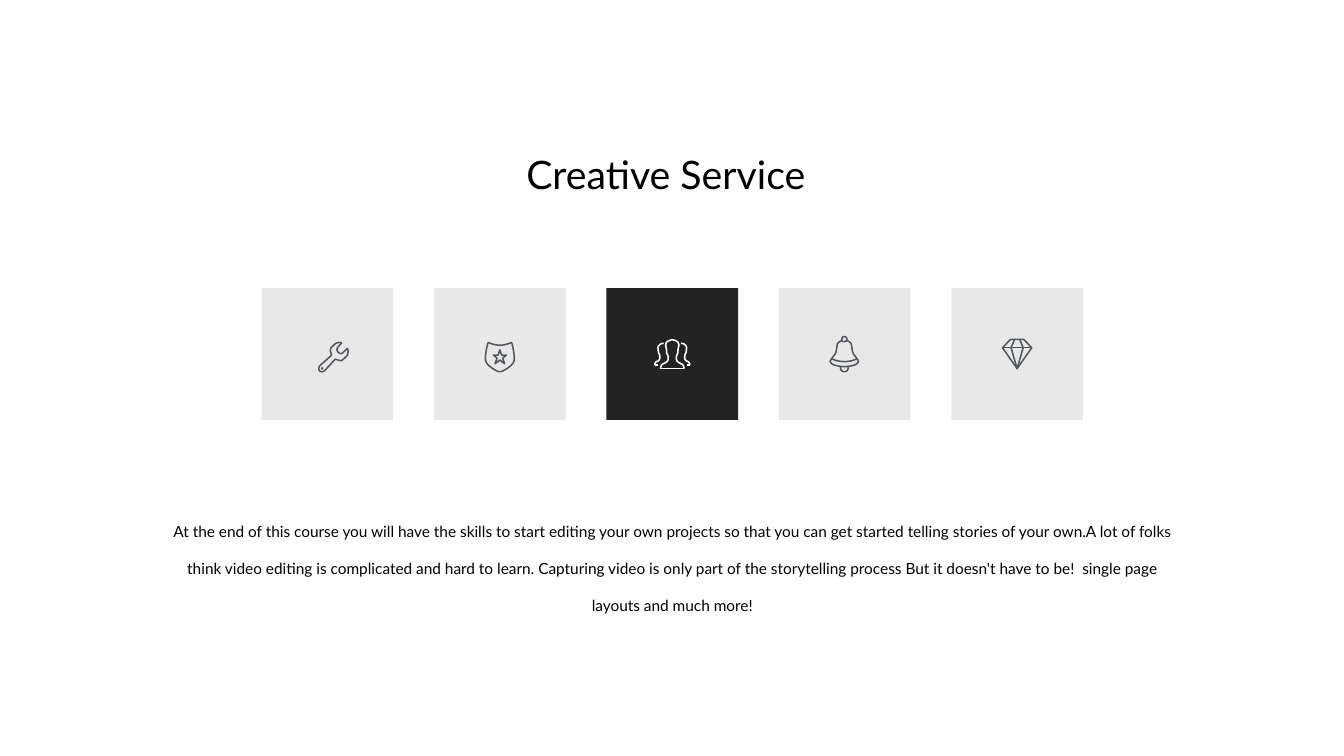
import pptx
import pptx.util
import pptx.dml.color
import pptx.enum.text
from pptx.util import Pt

# ---- Content ----
TITLE = "Creative Service"
SUMMARY = (
    "At the end of this course you will have the skills to start editing your own "
    "projects so that you can get started telling stories of your own.A lot of folks "
    "think video editing is complicated and hard to learn. Capturing video is only part "
    "of the storytelling process But it doesn't have to be!  single page layouts and "
    "much more!"
)
FONT = "Lato"
COLORS = {
    "text": "000000",
    "tile": "E8E8E8",
    "active tile": "232323",
    "icon": "53585F",
    "active icon": "FFFFFF",
}

# Icon strokes: (kind, points), in icon units from the icon's origin.
# Mirrored icons give only their left half, with the axis at x = 0.
WRENCH = [
    ("curve", [(47, 2), (41, 1.5), (34, 4), (26, 12), (24.5, 18), (27, 26.5)]),
    ("line", [(27, 26.5), (3, 48)]),
    ("curve", [(3, 48), (1.5, 53), (3, 58), (8, 59.5), (13, 57.5)]),
    ("line", [(13, 57.5), (34, 34.5)]),
    ("curve", [(34, 34.5), (45, 37.5), (49, 35.5), (57, 28), (59.5, 20), (58.5, 13)]),
    ("line", [(58.5, 13), (51, 20)]),
    ("curve", [(51, 20), (46, 23.5), (40, 21), (37.5, 15), (40.5, 9)]),
    ("line", [(40.5, 9), (47, 2)]),
    ("curve", [(8, 52), (9, 53), (8, 54), (7, 53), (8, 52)]),
]
SHIELD = [
    ("curve", [(-23.5, 1.5), (-27, 17), (-28.5, 35), (-24, 45), (-12, 54.5), (0, 59.5)]),
    ("curve", [(-23.5, 1.5), (-13, 5), (0, 7)]),
    ("line", [(0, 16), (-3.5, 26.5), (-13, 26.5), (-5.5, 32.5), (-9.5, 43.5), (0, 36.5)]),
]
PEOPLE = [
    ("curve", [(-23.5, 58.5), (-21, 51), (-13, 46.5), (-8.5, 41.5), (-8.5, 33), (-11, 27.5),
               (-11.5, 20), (-13, 12), (-11, 6), (-5, 2.5), (0, 1.5)]),
    ("line", [(-23.5, 58.5), (0, 58.5)]),
    ("curve", [(-17, 8.5), (-23, 9.5), (-28, 15), (-28, 21), (-27, 27), (-25, 32),
               (-25, 39), (-28, 43), (-33, 46), (-35, 51.5)]),
    ("line", [(-35, 51.5), (-28.5, 51.5)]),
]
BELL = [
    ("curve", [(-5, 9.5), (-13, 15), (-15, 24), (-17, 34), (-22, 41.5), (-26, 47),
               (-28, 52), (-22, 57.5), (-11, 60.5), (0, 61.5)]),
    ("curve", [(-25, 46), (-14, 50), (0, 51.5)]),
    ("curve", [(0, 1.8), (-3.7, 3.3), (-5, 7), (-3.7, 10.5), (0, 12)]),
    ("curve", [(-8, 62), (-6, 69), (0, 71.5)]),
]
GEM = [
    ("line", [(0, 59.5), (-29, 18), (-13, 1.5), (0, 1.5)]),
    ("line", [(-29, 18), (0, 18)]),
    ("line", [(-5, 1.5), (-12, 18), (0, 59.5)]),
]

# strokes, mirrored, origin inside the tile (points), active
SERVICES = [
    (WRENCH, False, (80.6, 76.4), False),
    (SHIELD, True, (94, 76.4), False),
    (PEOPLE, True, (94, 72.7), True),
    (BELL, True, (93.5, 67.7), False),
    (GEM, True, (94, 72), False),
]

# ---- Layout in points ----
SLIDE_W, SLIDE_H = 1919.52, 1080
TILE, TILE_PITCH, TILE_LEFT, TILE_TOP = 188, 246.24, 373.7, 411.8
ICON_UNIT, ICON_LINE, CURVE_STEPS = 0.72, 2.2, 6
INSET = 4.32


def rgb(name):
    return pptx.dml.color.RGBColor.from_string(COLORS[name])


def smooth(points):
    """Run a Catmull-Rom curve through the points."""
    closed = points[0] == points[-1]
    before = points[-2] if closed else points[0]
    after = points[1] if closed else points[-1]
    padded = [before, *points, after]
    result = [points[0]]
    for quad in zip(padded, padded[1:], padded[2:], padded[3:]):
        for step in range(1, CURVE_STEPS + 1):
            t = step / CURVE_STEPS
            result.append(tuple(
                b + t * (c - a) / 2 + t * t * (2 * a - 5 * b + 4 * c - d) / 2
                + t ** 3 * (3 * b - a - 3 * c + d) / 2
                for a, b, c, d in zip(*quad)))
    return result


def mirror(points):
    """Join the half with its reflection, or give both when they do not meet."""
    reflected = [(-x, y) for x, y in points]
    if points[-1][0] == 0:
        return [points + reflected[-2::-1]]
    return [points, reflected]


def add_icon(slide, strokes, mirrored, left, top, color):
    outlines = []
    for kind, points in strokes:
        for outline in (mirror(points) if mirrored else [points]):
            outline = smooth(outline) if kind == "curve" else outline
            outlines.append([(Pt(left + x * ICON_UNIT), Pt(top + y * ICON_UNIT))
                             for x, y in outline])
    builder = slide.shapes.build_freeform(*outlines[0][0], scale=1.0)
    for outline in outlines:
        builder.move_to(*outline[0])
        builder.add_line_segments(outline[1:], close=False)
    icon = builder.convert_to_shape()
    icon.shadow.inherit = False
    icon.fill.background()
    icon.line.color.rgb = rgb(color)
    icon.line.width = Pt(ICON_LINE)


def add_text(slide, text, box, size, align, wrap, spacing=None):
    frame = slide.shapes.add_textbox(*map(Pt, box)).text_frame
    frame.word_wrap = wrap
    frame.auto_size = pptx.enum.text.MSO_AUTO_SIZE.SHAPE_TO_FIT_TEXT
    frame.vertical_anchor = pptx.enum.text.MSO_ANCHOR.MIDDLE
    frame.margin_left = frame.margin_right = Pt(INSET)
    frame.margin_top = frame.margin_bottom = Pt(INSET)
    paragraph = frame.paragraphs[0]
    paragraph.alignment = align
    paragraph.line_spacing = spacing
    run = paragraph.add_run()
    run.text = text
    run.font.name = FONT
    run.font.size = Pt(size)
    run.font.color.rgb = rgb("text")


def main():
    deck = pptx.Presentation()
    deck.slide_width, deck.slide_height = Pt(SLIDE_W), Pt(SLIDE_H)
    slide = deck.slides.add_slide(deck.slide_layouts[6])
    align = pptx.enum.text.PP_ALIGN

    # Title
    add_text(slide, TITLE, (747.4, 210.2, 426.2, 74.9), 56, align.LEFT, False)

    # Row of service tiles with icons
    for index, (strokes, mirrored, (dx, dy), active) in enumerate(SERVICES):
        prefix = "active " if active else ""
        left = TILE_LEFT + index * TILE_PITCH
        tile = slide.shapes.add_shape(pptx.enum.shapes.MSO_SHAPE.RECTANGLE,
                                      Pt(left), Pt(TILE_TOP), Pt(TILE), Pt(TILE))
        tile.shadow.inherit = False
        tile.fill.solid()
        tile.fill.fore_color.rgb = rgb(prefix + "tile")
        tile.line.fill.background()
        add_icon(slide, strokes, mirrored, left + dx, TILE_TOP + dy, prefix + "icon")

    # Summary
    add_text(slide, SUMMARY, (230.4, 715, 1459.4, 166.3), 22, align.CENTER, True, 2.0)

    deck.save("out.pptx")


if __name__ == "__main__":
    main()
